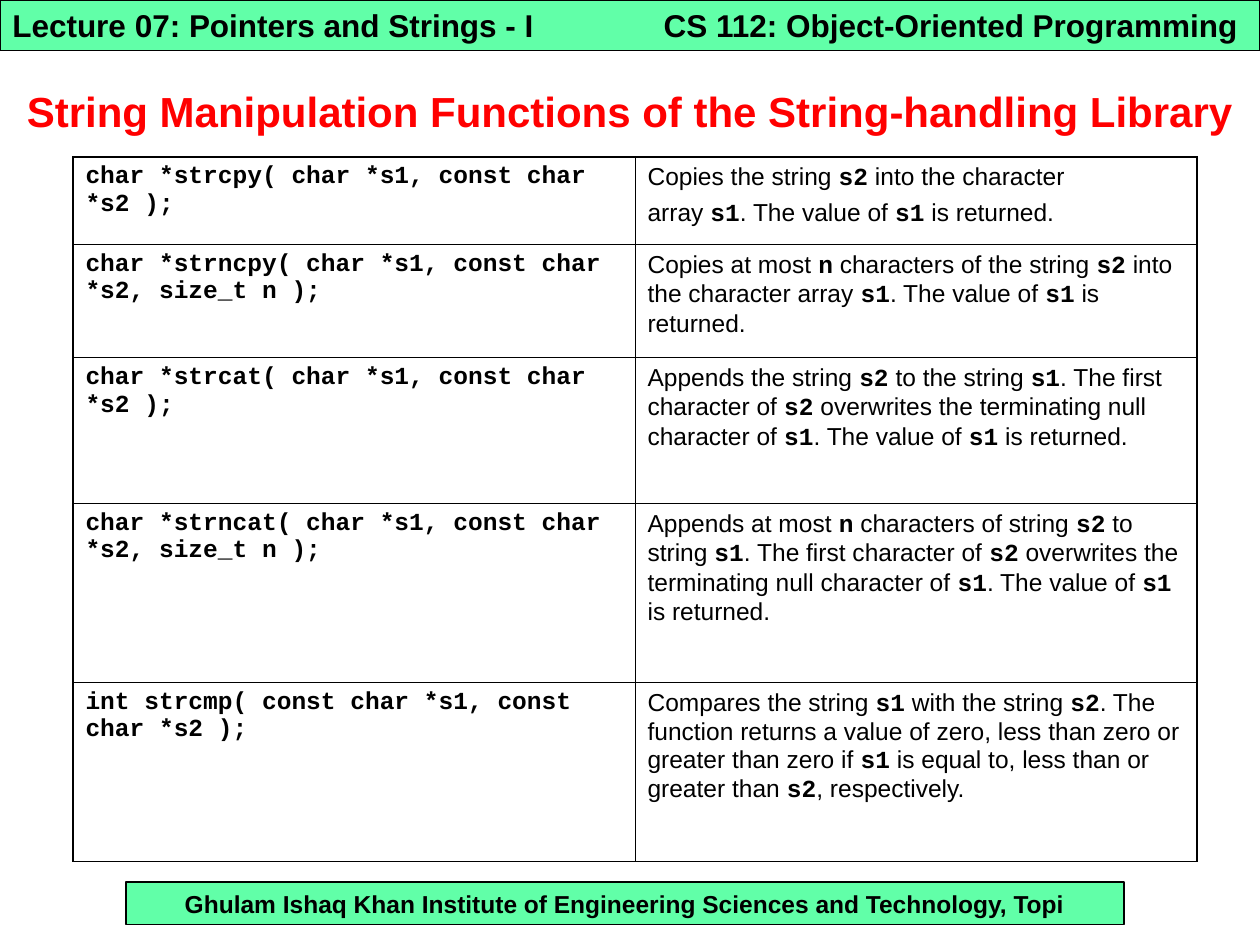
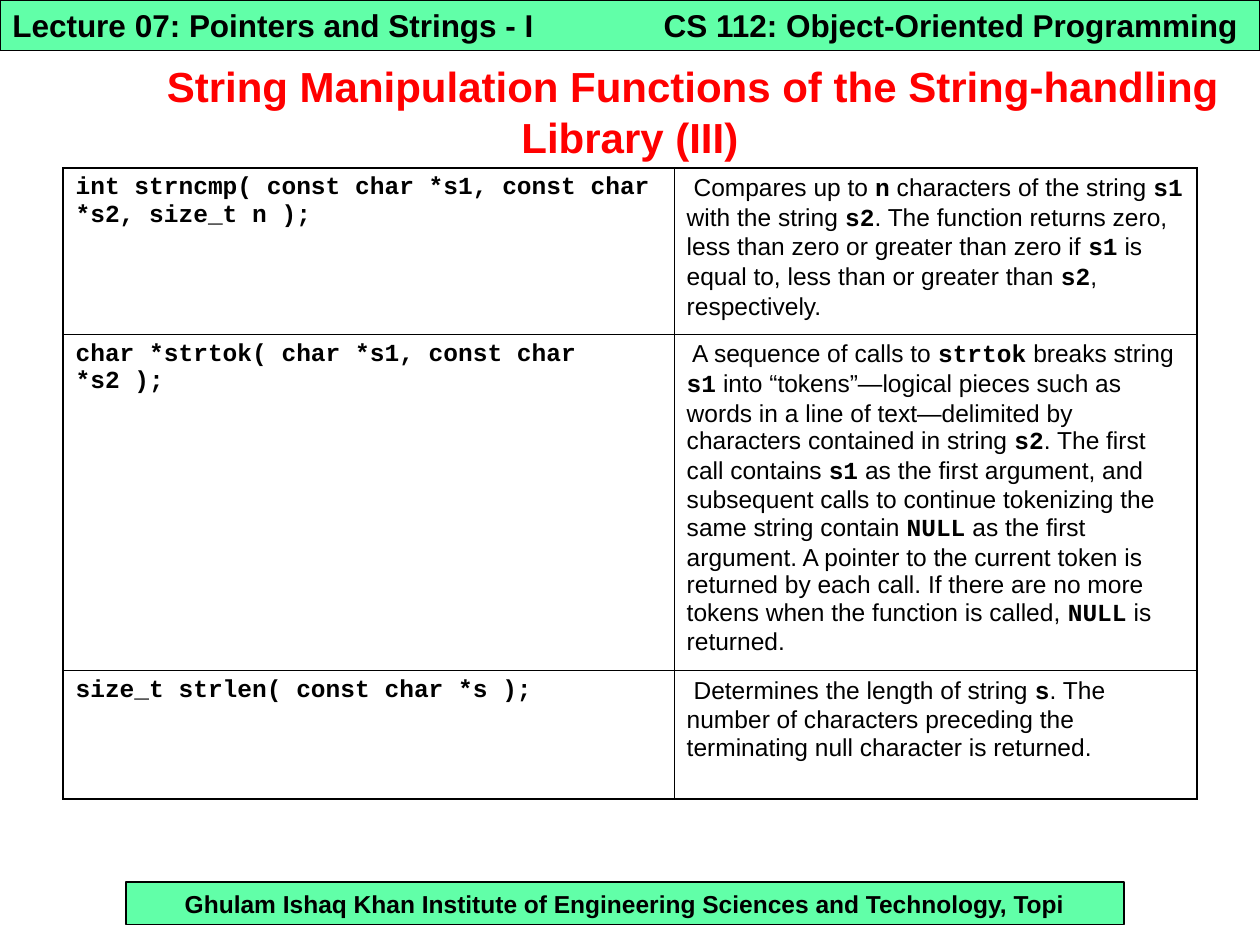
from lxml.etree import SubElement
from pptx import Presentation
from pptx.dml.color import RGBColor
from pptx.enum.shapes import MSO_SHAPE
from pptx.enum.text import MSO_ANCHOR, PP_ALIGN
from pptx.oxml import parse_xml
from pptx.oxml.ns import nsdecls, qn
from pptx.util import Cm, Pt

BLACK = RGBColor(0x00, 0x00, 0x00)
RED = RGBColor(0xFF, 0x00, 0x00)
MINT = RGBColor(0x61, 0xFF, 0xA8)
TEXT_FONT = "Arial"
CODE_FONT = "Courier New"
OUTER_LINE = Pt(1.08)
INNER_LINE = Pt(0.45)

# Left, top, width, height, filled, alignment, size, text
BANDS = [
    (2.54, 17.78, 20.12, 0.86, True, PP_ALIGN.CENTER, 14,
     "Ghulam Ishaq Khan Institute of Engineering Sciences and Technology, Topi"),
    (0, 0, 25.4, 1.02, True, PP_ALIGN.LEFT, 18, "Lecture 07: Pointers and Strings - I"),
    (13.13, 0, 12.27, 1.02, False, PP_ALIGN.LEFT, 18, "CS 112: Object-Oriented Programming"),
]

# Backticks enclose code; a line break starts a new paragraph.
SLIDES = [
    {
        "title": "String Manipulation Functions of the String-handling Library",
        "left": 1.47, "top": 3.17, "columns": [11.33, 11.33],
        "rows": [
            (1.76, "`char *strcpy( char *s1, const char *s2 );`",
             "Copies the string `s2` into the character\n"
             "array `s1`. The value of `s1` is returned."),
            (2.28, "`char *strncpy( char *s1, const char *s2, size_t n );`",
             "Copies at most `n` characters of the string `s2` into the character array `s1`. "
             "The value of `s1` is returned."),
            (2.94, "`char *strcat( char *s1, const char *s2 );`",
             "Appends the string `s2` to the string `s1`. The first character of `s2` overwrites "
             "the terminating null character of `s1`. The value of `s1` is returned."),
            (3.61, "`char *strncat( char *s1, const char *s2, size_t n );`",
             "Appends at most `n` characters of string `s2` to string `s1`. The first character "
             "of `s2` overwrites the terminating null character of `s1`. "
             "The value of `s1` is returned."),
            (3.61, "`int strcmp( const char *s1, const char *s2 );`",
             "Compares the string `s1` with the string `s2`. The function returns a value of "
             "zero, less than zero or greater than zero if `s1` is equal to, less than or "
             "greater than `s2`, respectively."),
        ],
    },
    {
        "title": "\tString Manipulation Functions of the String-handling Library (III)",
        "left": 1.27, "top": 3.39, "columns": [12.32, 10.54],
        "rows": [
            (3.35, "`int strncmp( const char *s1, const char *s2, size_t n );`",
             " Compares up to `n` characters of the string `s1` with the string `s2`. The function "
             "returns zero, less than zero or greater than zero if `s1` is equal to, less than or "
             "greater than `s2`, respectively."),
            (6.78, "`char *strtok( char *s1, const char *s2 );`",
             " A sequence of calls to `strtok` breaks string `s1` into “tokens”—logical pieces "
             "such as words in a line of text—delimited by characters contained in string `s2`. "
             "The first call contains `s1` as the first argument, and subsequent calls to "
             "continue tokenizing the same string contain `NULL` as the first argument. "
             "A pointer to the current token is returned by each call. If there are no more "
             "tokens when the function is called, `NULL` is returned."),
            (2.59, "`size_t strlen( const char *s );`",
             " Determines the length of string `s`. The number of characters preceding the "
             "terminating null character is returned."),
        ],
    },
]


def add_run(paragraph, text, size, color=BLACK, font=TEXT_FONT, bold=True):
    run = paragraph.add_run()
    run.text = text
    run.font.name = font
    run.font.size = Pt(size)
    run.font.bold = bold
    run.font.color.rgb = color


def set_borders(cell, widths):
    """Draw black cell borders; widths run left, right, top, bottom."""
    properties = cell._tc.get_or_add_tcPr()
    for index, (side, width) in enumerate(zip("LRTB", widths)):
        border = parse_xml(
            f'<a:ln{side} {nsdecls("a")} w="{int(width)}"><a:solidFill>'
            f'<a:srgbClr val="{BLACK}"/></a:solidFill></a:ln{side}>')
        properties.insert(index, border)


presentation = Presentation()
presentation.slide_width = Cm(25.4)
presentation.slide_height = Cm(19.05)

for content in SLIDES:
    slide = presentation.slides.add_slide(presentation.slide_layouts[6])

    for left, top, width, height, filled, alignment, size, text in BANDS:
        area = Cm(left), Cm(top), Cm(width), Cm(height)
        if filled:
            shape = slide.shapes.add_shape(MSO_SHAPE.RECTANGLE, *area)
            shape.shadow.inherit = False
            shape.fill.solid()
            shape.fill.fore_color.rgb = MINT
            shape.line.color.rgb = BLACK
            shape.line.width = Pt(0.75)
        else:
            shape = slide.shapes.add_textbox(*area)
        shape.text_frame.word_wrap = True
        shape.text_frame.vertical_anchor = MSO_ANCHOR.MIDDLE
        paragraph = shape.text_frame.paragraphs[0]
        paragraph.alignment = alignment
        add_run(paragraph, text, size)

    title = slide.shapes.add_textbox(Cm(0), Cm(1.07), Cm(25.4), Cm(2.34))
    title.text_frame.word_wrap = True
    title.text_frame.vertical_anchor = MSO_ANCHOR.MIDDLE
    paragraph = title.text_frame.paragraphs[0]
    paragraph.alignment = PP_ALIGN.CENTER
    if content["title"].startswith("\t"):
        tab_stops = SubElement(paragraph._p.get_or_add_pPr(), qn("a:tabLst"))
        SubElement(tab_stops, qn("a:tab"), pos=str(int(Cm(2.54))), algn="l")
    add_run(paragraph, content["title"], 24, RED)

    rows, columns = content["rows"], content["columns"]
    table = slide.shapes.add_table(
        len(rows), len(columns), Cm(content["left"]), Cm(content["top"]),
        Cm(sum(columns)), Cm(sum(row[0] for row in rows))).table
    table.first_row = False
    table.horz_banding = False
    for column, width in zip(table.columns, columns):
        column.width = Cm(width)

    for row_index, (height, *texts) in enumerate(rows):
        table.rows[row_index].height = Cm(height)
        for column_index, text in enumerate(texts):
            cell = table.cell(row_index, column_index)
            cell.fill.background()
            on_edge = (column_index == 0, column_index == len(columns) - 1,
                       row_index == 0, row_index == len(rows) - 1)
            set_borders(cell, [OUTER_LINE if edge else INNER_LINE for edge in on_edge])
            for line_index, line in enumerate(text.split("\n")):
                if line_index == 0:
                    paragraph = cell.text_frame.paragraphs[0]
                else:
                    paragraph = cell.text_frame.add_paragraph()
                    paragraph.space_before = Pt(3.5)
                for part_index, part in enumerate(line.split("`")):
                    is_code = part_index % 2 == 1
                    if part:
                        add_run(paragraph, part, 14, BLACK,
                                CODE_FONT if is_code else TEXT_FONT, is_code)

presentation.save("out.pptx")
